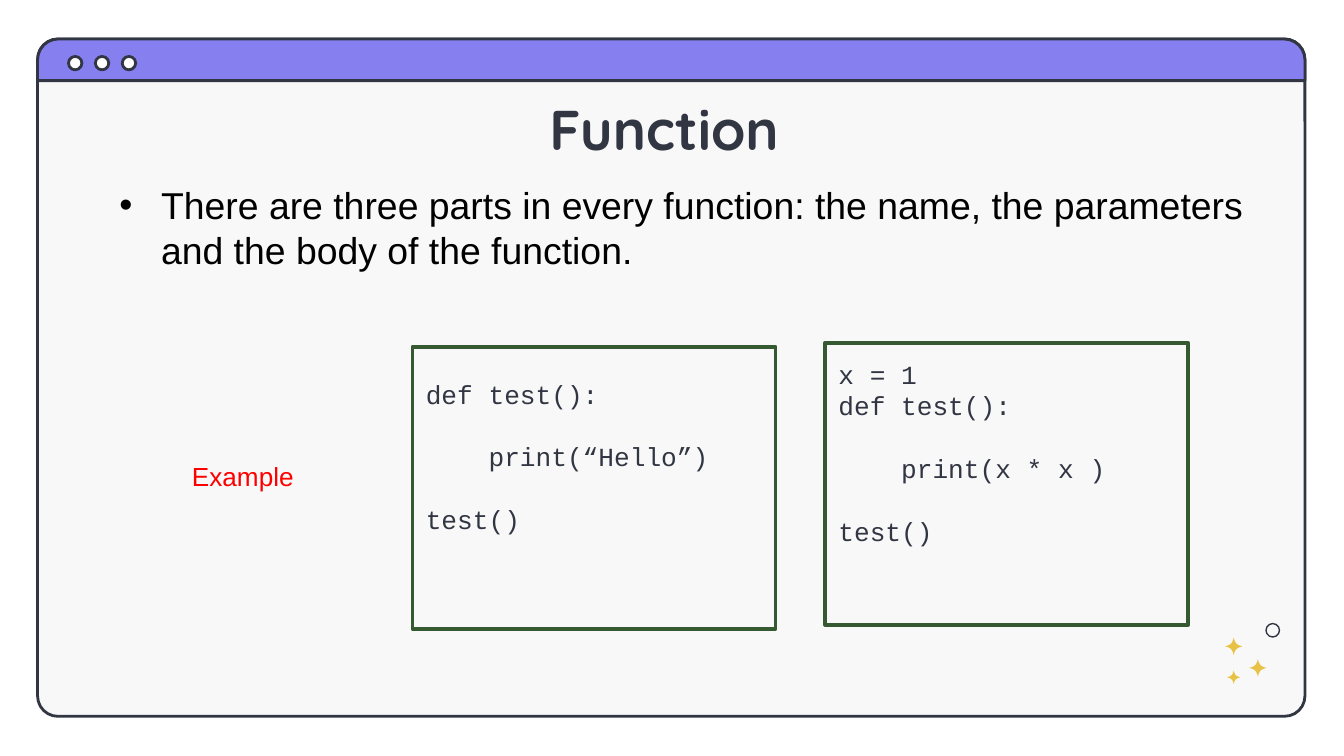
from copy import deepcopy
from dataclasses import dataclass

from lxml.etree import SubElement
from pptx import Presentation
from pptx.dml.color import RGBColor
from pptx.enum.shapes import MSO_SHAPE
from pptx.enum.text import MSO_ANCHOR, MSO_AUTO_SIZE, PP_ALIGN
from pptx.oxml.ns import qn
from pptx.util import Inches, Pt

WHITE = RGBColor(0xFF, 0xFF, 0xFF)
BLACK = RGBColor(0, 0, 0)
RED = RGBColor(0xFF, 0, 0)
INK = RGBColor(0x31, 0x36, 0x42)
PAPER = RGBColor(0xF8, 0xF8, 0xF8)
PURPLE = RGBColor(0x85, 0x7F, 0xF0)
GOLD = RGBColor(0xE8, 0xC2, 0x45)
GREEN = RGBColor(0x35, 0x5A, 0x32)


@dataclass(frozen=True)
class Box:
    left: float
    top: float
    width: float
    height: float

    def lengths(self) -> tuple:
        return tuple(Inches(v) for v in (self.left, self.top, self.width, self.height))


@dataclass(frozen=True)
class CodeSample:
    box: Box
    code: str  # "\v" is a line break inside a paragraph


@dataclass(frozen=True)
class Sparkle:
    x: float
    y: float
    radius: float


CODE_SAMPLES = (
    CodeSample(Box(6.14, 2.55, 2.7, 2.1),
               "x = 1\ndef test():\n\v    print(x * x )\n\vtest()\n\v"),
    CodeSample(Box(3.07, 2.58, 2.7, 2.1),
               "def test():\n\v    print(“Hello”)\n\vtest()\n\v"),
)
SPARKLES = (Sparkle(9.18, 4.81, 0.065), Sparkle(9.18, 5.04, 0.05), Sparkle(9.36, 4.97, 0.065))


def add_outline(slide, kind: MSO_SHAPE, box: Box, line: RGBColor, weight: float,
                fill: RGBColor | None = None):
    shape = slide.shapes.add_shape(kind, *box.lengths())
    shape.shadow.inherit = False
    if fill is None:
        shape.fill.background()
    else:
        shape.fill.solid()
        shape.fill.fore_color.rgb = fill
    shape.line.color.rgb = line
    shape.line.width = Pt(weight)
    return shape


def style_font(font, name: str, size: float, color: RGBColor) -> None:
    font.name = name
    font.size = Pt(size)
    font.color.rgb = color


def add_sparkle(slide, sparkle: Sparkle, steps: int = 8) -> None:
    """Four-pointed star whose sides are inward cubic curves."""
    controls = ((-1, 0), (-0.35, -0.15), (-0.15, -0.35), (0, -1))
    points = []
    for quarter in range(4):
        for step in range(steps):
            t = step / steps
            weights = ((1 - t) ** 3, 3 * t * (1 - t) ** 2, 3 * t * t * (1 - t), t ** 3)
            x, y = (sum(w * c[axis] for w, c in zip(weights, controls)) for axis in (0, 1))
            for _ in range(quarter):
                x, y = -y, x
            points.append((Inches(sparkle.x + sparkle.radius * x),
                           Inches(sparkle.y + sparkle.radius * y)))
    builder = slide.shapes.build_freeform(*points[0])
    builder.add_line_segments(points[1:], close=True)
    star = builder.convert_to_shape()
    star.shadow.inherit = False
    star.fill.solid()
    star.fill.fore_color.rgb = GOLD
    star.line.fill.background()


def add_code(slide, sample: CodeSample) -> None:
    shape = add_outline(slide, MSO_SHAPE.RECTANGLE, sample.box, GREEN, 2)
    frame = shape.text_frame
    frame.word_wrap = True
    frame.vertical_anchor = MSO_ANCHOR.MIDDLE
    frame.text = sample.code
    for paragraph in frame.paragraphs:
        paragraph.alignment = PP_ALIGN.LEFT
        for run in paragraph.runs:
            style_font(run.font, "Courier New", 14, INK)
    # Line breaks and paragraph ends take the font of the code
    code_format = frame.paragraphs[0].runs[0]._r.find(qn("a:rPr"))
    for paragraph in frame.paragraphs:
        for line_break in paragraph._p.findall(qn("a:br")):
            line_break.insert(0, deepcopy(code_format))
        end = SubElement(paragraph._p, qn("a:endParaRPr"))
        end.set("sz", code_format.get("sz"))
        for part in code_format:
            end.append(deepcopy(part))


def add_text(slide, box: Box, text: str, size: float, color: RGBColor):
    text_box = slide.shapes.add_textbox(*box.lengths())
    frame = text_box.text_frame
    frame.word_wrap = True
    frame.auto_size = MSO_AUTO_SIZE.SHAPE_TO_FIT_TEXT
    frame.text = text
    paragraph = frame.paragraphs[0]
    style_font(paragraph.runs[0].font, "Arial", size, color)
    return paragraph


def add_bullet(paragraph, indent: float) -> None:
    properties = paragraph._p.get_or_add_pPr()
    properties.set("marL", str(Inches(indent)))
    properties.set("indent", str(-Inches(indent)))
    SubElement(properties, qn("a:buFont")).set("typeface", "Arial")
    SubElement(properties, qn("a:buChar")).set("char", "•")


def add_window(slide) -> None:
    frame = add_outline(slide, MSO_SHAPE.ROUNDED_RECTANGLE,
                        Box(0.28, 0.29, 9.43, 5.04), INK, 1.5, PAPER)
    frame.adjustments[0] = 0.03
    bar = add_outline(slide, MSO_SHAPE.ROUND_2_SAME_RECTANGLE,
                      Box(0.28, 0.29, 9.43, 0.31), INK, 1.5, PURPLE)
    bar.adjustments[0] = 0.5
    for button in range(3):
        add_outline(slide, MSO_SHAPE.OVAL, Box(0.51 + 0.2 * button, 0.42, 0.1, 0.1),
                    INK, 1.5, WHITE)


def set_title(slide, text: str) -> None:
    title = slide.shapes.title
    title.left, title.top, title.width, title.height = Box(0.29, 0.53, 9.42, 0.63).lengths()
    frame = title.text_frame
    frame.margin_left = frame.margin_right = Inches(0.1)
    frame.margin_top = frame.margin_bottom = Inches(0.1)
    frame.vertical_anchor = MSO_ANCHOR.TOP
    frame.auto_size = MSO_AUTO_SIZE.NONE
    frame.text = text
    paragraph = frame.paragraphs[0]
    paragraph.alignment = PP_ALIGN.CENTER
    paragraph.line_spacing = 1.15
    font = paragraph.runs[0].font
    style_font(font, "Quicksand", 30, INK)
    font.bold = True
    # Bring the title in front of the window
    slide.shapes._spTree.append(title._element)


def main() -> None:
    presentation = Presentation()
    presentation.slide_width = Inches(10)
    presentation.slide_height = Inches(10) * 9 // 16
    slide = presentation.slides.add_slide(presentation.slide_layouts[5])

    # Browser window with its decorations
    add_window(slide)
    for sparkle in SPARKLES:
        add_sparkle(slide, sparkle)
    add_outline(slide, MSO_SHAPE.OVAL, Box(9.42, 4.64, 0.1, 0.1), INK, 0.75)

    # Title and statement
    set_title(slide, "Function ")
    statement = add_text(
        slide, Box(0.79, 1.31, 8.81, 0.77),
        "There are three parts in every function: the name, the parameters "
        "and the body of the function.", 20, BLACK)
    add_bullet(statement, 0.31)

    # Code examples
    add_text(slide, Box(1.33, 3.38, 1.2, 0.34), "Example", 14, RED)
    for sample in CODE_SAMPLES:
        add_code(slide, sample)

    presentation.save("out.pptx")


if __name__ == "__main__":
    main()
